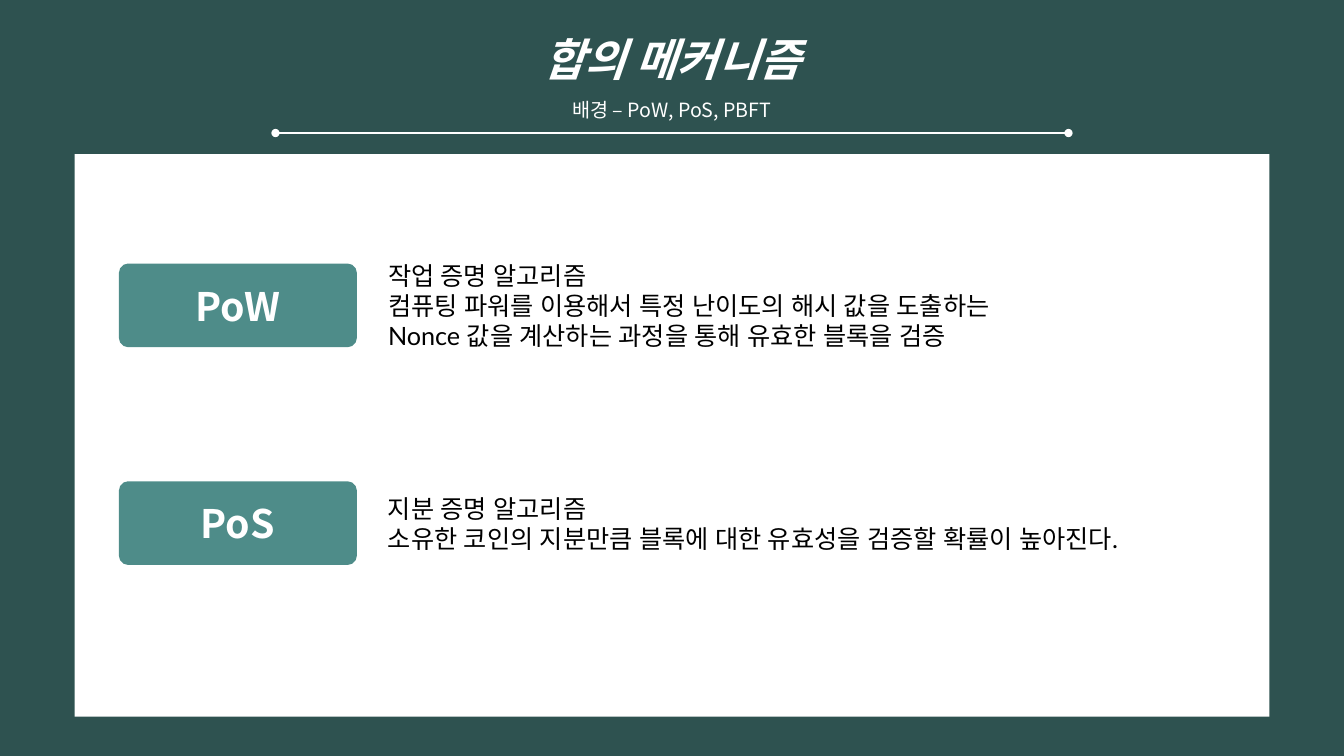
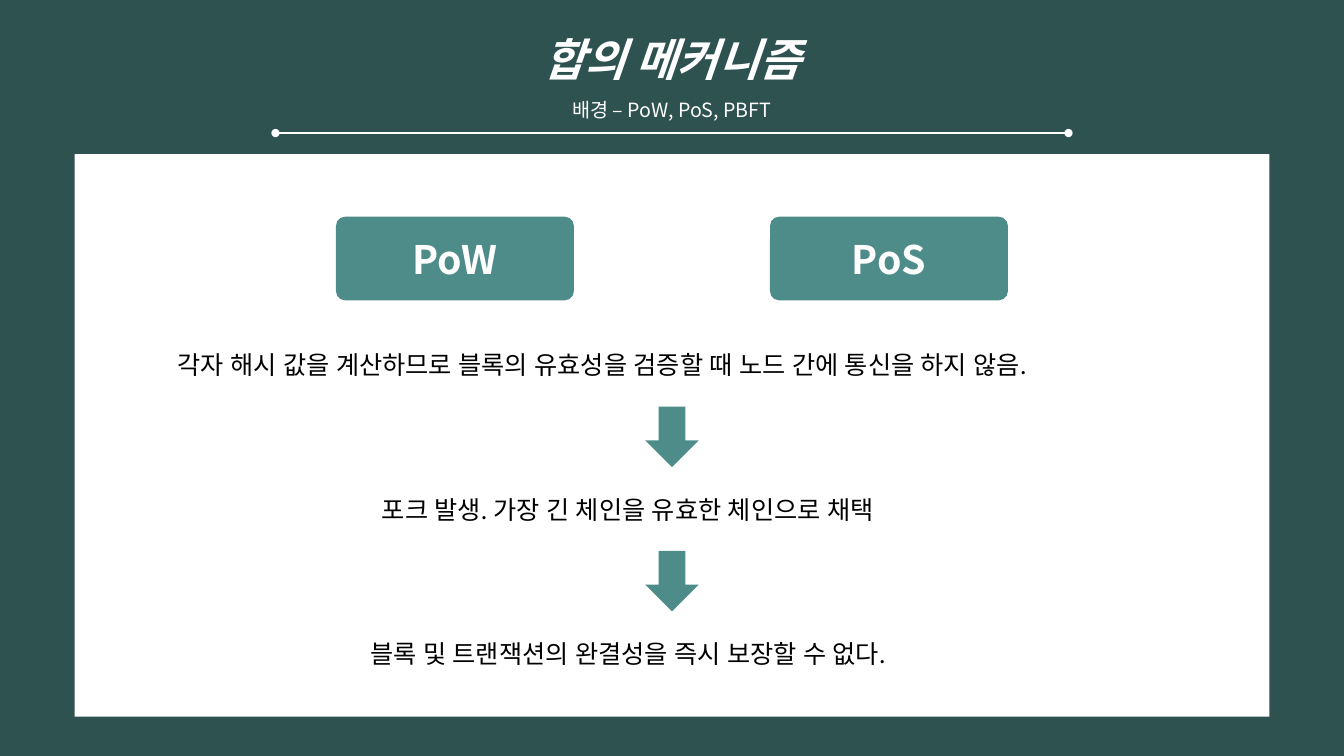
from collections import namedtuple

from lxml import etree
from pptx import Presentation
from pptx import util as u
from pptx.dml.color import RGBColor
from pptx.enum import shapes, text
from pptx.oxml import ns

COLORS = {"ground": "2E5250", "accent": "4E8C89", "paper": "FFFFFF", "ink": "000000"}
HEAD_FONT, BODY_FONT = "Noto Sans CJK KR", "Lato"
WIDTH, HEIGHT = 13.33, 7.5
LINE_HEIGHT, TEXT_MARGIN = 0.3, 0.1
BADGE_WIDTH, BADGE_HEIGHT = 2.36, 0.83
ARROW_WIDTH, ARROW_HEIGHT = 0.53, 0.6

Box = namedtuple("Box", "left top width height")
HEADER = Box(WIDTH / 4, 0, WIDTH / 2, 1.26)
PANEL = Box(0.74, 1.53, 11.85, 5.58)

TITLE = "합의 메커니즘"
SUBTITLE = "배경 – PoW, PoS, PBFT"
DEFINITIONS = [
    ("PoW", 8.09, ["작업 증명 알고리즘",
                   "컴퓨팅 파워를 이용해서 특정 난이도의 해시 값을 도출하는",
                   "Nonce 값을 계산하는 과정을 통해 유효한 블록을 검증"]),
    ("PoS", 8.53, ["지분 증명 알고리즘",
                   "소유한 코인의 지분만큼 블록에 대한 유효성을 검증할 확률이 높아진다."]),
]
STEPS = [
    ("각자 해시 값을 계산하므로 블록의 유효성을 검증할 때 노드 간에 통신을 하지 않음.", 10.02),
    ("포크 발생. 가장 긴 체인을 유효한 체인으로 채택", 5.97),
    ("블록 및 트랜잭션의 완결성을 즉시 보장할 수 없다.", 6.2),
]


def rgb(name):
    return RGBColor.from_string(COLORS[name])


def inches(box):
    return [u.Inches(length) for length in box]


def write(para, words, size, font=BODY_FONT, color="ink", bold=False, italic=False,
          align=text.PP_ALIGN.LEFT, spacing=1.0):
    """Fill a paragraph; the font serves Latin and Korean letters alike."""
    para.alignment, para.line_spacing = align, spacing
    span = para.add_run()
    span.text = words
    span.font.size, span.font.bold, span.font.italic = u.Pt(size), bold, italic
    span.font.name = font
    span.font.color.rgb = rgb(color)
    east_asian = etree.SubElement(span.font._element, ns.qn("a:ea"))
    east_asian.set("typeface", font)


def add_block(page, kind, box, color):
    block = page.shapes.add_shape(kind, *inches(box))
    block.shadow.inherit = False
    block.fill.solid()
    block.fill.fore_color.rgb = rgb(color)
    block.line.fill.background()
    return block


def add_badge(page, left, top, label):
    box = Box(left, top, BADGE_WIDTH, BADGE_HEIGHT)
    badge = add_block(page, shapes.MSO_SHAPE.ROUNDED_RECTANGLE, box, "accent")
    badge.adjustments[0] = 0.11
    badge.text_frame.vertical_anchor = text.MSO_ANCHOR.MIDDLE
    write(badge.text_frame.paragraphs[0], label, 28, font=HEAD_FONT, color="paper",
          bold=True, align=text.PP_ALIGN.CENTER)


def add_body(page, left, middle, width, lines):
    """Place body lines centred vertically on middle."""
    height = len(lines) * LINE_HEIGHT + TEXT_MARGIN
    box = Box(left, middle - height / 2, width, height)
    frame = page.shapes.add_textbox(*inches(box)).text_frame
    frame.word_wrap = True
    for index, line in enumerate(lines):
        write(frame.add_paragraph() if index else frame.paragraphs[0], line, 18)


def add_header(page, box):
    title = page.shapes.title
    title.left, title.top, title.width, title.height = inches(box)
    frame = title.text_frame
    frame.word_wrap, frame.auto_size = True, text.MSO_AUTO_SIZE.NONE
    frame.vertical_anchor = text.MSO_ANCHOR.TOP
    shared = {"font": HEAD_FONT, "color": "paper", "align": text.PP_ALIGN.CENTER,
              "spacing": 1.5}
    write(frame.paragraphs[0], TITLE, 32, bold=True, italic=True, **shared)
    write(frame.add_paragraph(), SUBTITLE, 14, **shared)

    overhang, line_top = 0.6, box.top + box.height + 0.06
    rule = page.shapes.add_connector(
        shapes.MSO_CONNECTOR.STRAIGHT,
        *inches((box.left + box.width + overhang, line_top, box.left - overhang, line_top)))
    rule.line.color.rgb = rgb("paper")
    rule.line.width = u.Pt(1)
    outline = rule.line._get_or_add_ln()
    for end in ("a:headEnd", "a:tailEnd"):
        etree.SubElement(outline, ns.qn(end)).set("type", "oval")
    etree.SubElement(rule._element.spPr, ns.qn("a:effectLst"))


def add_page(deck):
    page = deck.slides.add_slide(deck.slide_layouts[5])
    add_header(page, HEADER)
    add_block(page, shapes.MSO_SHAPE.RECTANGLE, PANEL, "paper")
    return page


def add_definitions(page, box):
    badge_left, text_left = box.left + 0.44, box.left + 3.01
    for row, (label, width, lines) in enumerate(DEFINITIONS):
        middle = box.top + 1.5 + row * 2.16
        add_badge(page, badge_left, middle - BADGE_HEIGHT / 2, label)
        add_body(page, text_left, middle, width, lines)


def add_consequences(page, box):
    """Show both badges above a chain of steps joined by down arrows."""
    center = box.left + box.width / 2
    badge_top = box.top + 0.62
    add_badge(page, WIDTH / 4, badge_top, "PoW")
    add_badge(page, WIDTH * 3 / 4 - BADGE_WIDTH, badge_top, "PoS")
    pitch = 1.43
    for row, (line, width) in enumerate(STEPS):
        middle = box.top + 2.09 + row * pitch
        add_body(page, center - width / 2 + 0.01, middle, width, [line])
        if row < len(STEPS) - 1:
            arrow = Box(center - ARROW_WIDTH / 2, middle + (pitch - ARROW_HEIGHT) / 2,
                        ARROW_WIDTH, ARROW_HEIGHT)
            add_block(page, shapes.MSO_SHAPE.DOWN_ARROW, arrow, "accent")


def main():
    deck = Presentation()
    deck.slide_width, deck.slide_height = u.Inches(WIDTH), u.Inches(HEIGHT)
    ground = deck.slide_master.background.fill
    ground.solid()
    ground.fore_color.rgb = rgb("ground")
    for add_content in (add_definitions, add_consequences):
        add_content(add_page(deck), PANEL)
    deck.save("out.pptx")


if __name__ == "__main__":
    main()
